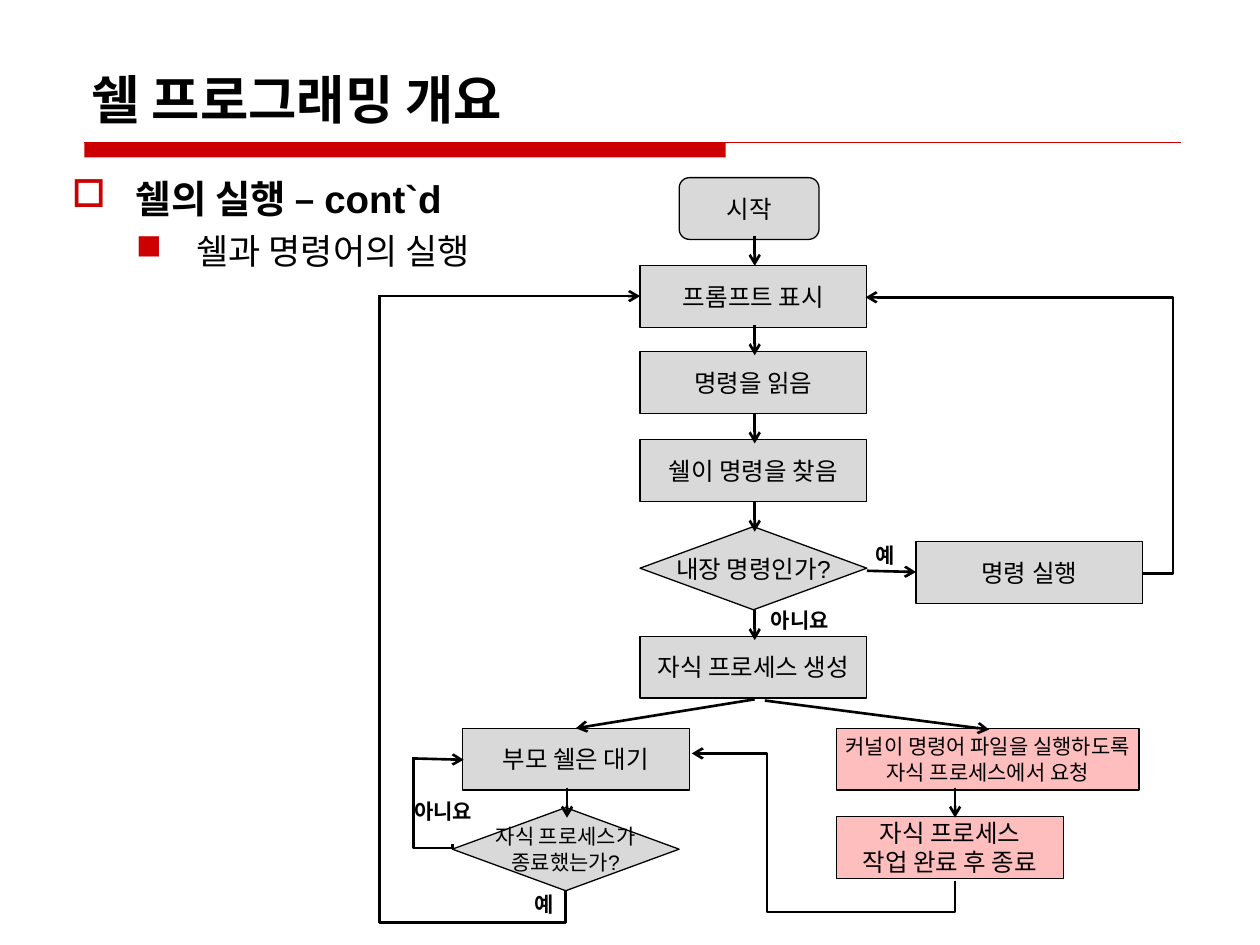
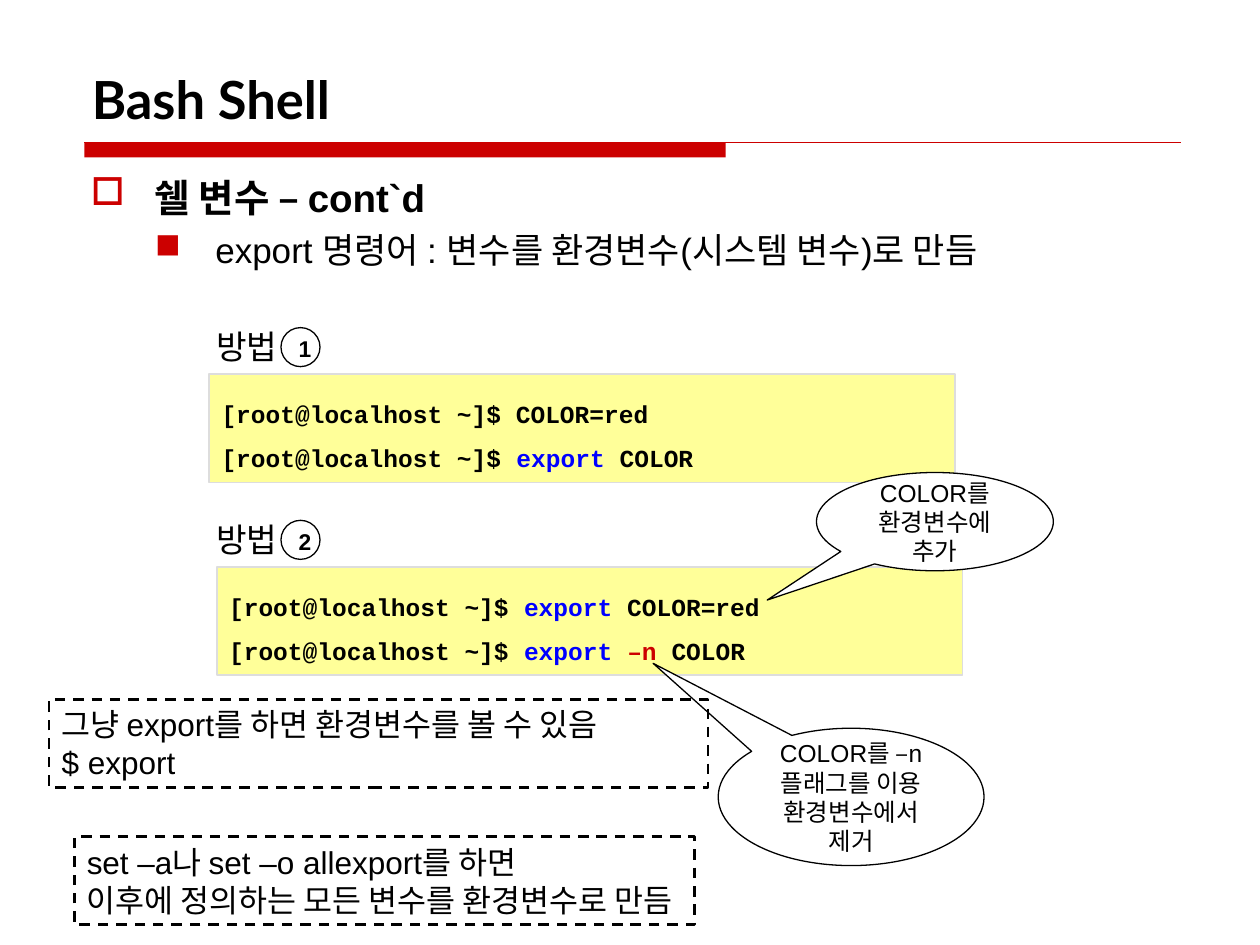
from lxml.etree import SubElement
from pptx import Presentation
from pptx.dml.color import RGBColor
from pptx.enum.dml import MSO_LINE
from pptx.enum.shapes import MSO_CONNECTOR, MSO_SHAPE
from pptx.enum.text import MSO_ANCHOR, PP_ALIGN
from pptx.oxml.ns import qn
from pptx.util import Inches, Pt

COLORS = {
    "red": "CC0000", "black": "000000", "white": "FFFFFF", "grey": "D9D9D9",
    "pink": "FFBEBE", "yellow": "FFFF99", "frame": "DDDDDD", "blue": "0000FF",
}
INSETS = (0.1, 0.05, 0.1, 0.05)
NO_INSETS = (0, 0, 0, 0)

FLOW_TITLE = "쉘 프로그래밍 개요"
FLOW_OUTLINE = ["쉘의 실행 – cont`d", "쉘과 명령어의 실행"]
BOX, DIAMOND = (1.8, 0.49), (1.8, 0.66)
START = MSO_SHAPE.FLOWCHART_ALTERNATE_PROCESS
PROCESS = MSO_SHAPE.FLOWCHART_PROCESS
DECISION = MSO_SHAPE.FLOWCHART_DECISION
MAIN_X, CHILD_X = 5.08, 6.64
STEPS = [
    (START, (5.39, 1.41), (1.11, 0.49), "grey", 14, ["시작"]),
    (PROCESS, (MAIN_X, 2.11), BOX, "grey", 14, ["프롬프트 표시"]),
    (PROCESS, (MAIN_X, 2.79), BOX, "grey", 14, ["명령을 읽음"]),
    (PROCESS, (MAIN_X, 3.49), BOX, "grey", 14, ["쉘이 명령을 찾음"]),
    (DECISION, (MAIN_X, 4.18), DIAMOND, "grey", 14, ["내장 명령인가?"]),
    (PROCESS, (MAIN_X, 5.05), BOX, "grey", 14, ["자식 프로세스 생성"]),
    (PROCESS, (CHILD_X, 5.78), (2.4, 0.49), "pink", 12,
     ["커널이 명령어 파일을 실행하도록", "자식 프로세스에서 요청"]),
    (PROCESS, (CHILD_X, 6.48), BOX, "pink", 14, ["자식 프로세스", "작업 완료 후 종료"]),
    (PROCESS, (3.67, 5.78), BOX, "grey", 14, ["부모 쉘은 대기"]),
    (DECISION, (3.59, 6.41), DIAMOND, "grey", 12, ["자식 프로세스가", "종료했는가?"]),
    (PROCESS, (7.27, 4.3), BOX, "grey", 14, ["명령 실행"]),
]
DROPS = [(5.99, 1.87), (5.99, 2.58), (5.99, 3.28), (5.99, 3.98), (5.99, 4.84),
         (4.5, 6.25), (7.58, 6.25)]
DROP_LENGTH = 0.24
BRANCHES = [
    ((6.88, 4.53), (7.27, 4.54)), ((5.99, 5.55), (4.57, 5.78)),
    ((6.07, 5.56), (7.85, 5.79)), ((3.01, 2.35), (5.08, 2.35)),
    ((3.29, 6.02), (3.68, 6.03)),
]
LOOPS = [
    ((4.49, 7.07), (3.01, 2.34), True, False, [-5300]),
    ((3.59, 6.7), (3.28, 6.01), True, False, [-4500]),
    ((9.06, 4.55), (6.87, 2.36), False, True, [-11400]),
    ((7.58, 6.99), (5.49, 5.98), True, True, [-24700, 71500]),
]
ANSWERS = [("예", 6.85, 4.26), ("예", 4.14, 7.03),
           ("아니요", 6.02, 4.77), ("아니요", 3.19, 6.29)]

EXPORT_TITLE = "Bash Shell"
EXPORT_OUTLINE = ["쉘 변수 – cont`d", "export 명령어 : 변수를 환경변수(시스템 변수)로 만듬"]
PROMPT = "[root@localhost ~]$ "
METHODS = [
    ("1", 1.66, 2.97, [[(PROMPT + "COLOR=red", "black")],
                       [(PROMPT, "black"), ("export ", "blue"), ("COLOR", "black")]]),
    ("2", 1.72, 4.5, [[(PROMPT, "black"), ("export", "blue"), (" COLOR=red", "black")],
                      [(PROMPT, "black"), ("export ", "blue"), ("–n ", "red"),
                       ("COLOR", "black")]]),
]
CALLOUTS = [
    ((6.48, 3.75, 1.88, 0.78), (-0.708, 0.798), ["COLOR를", "환경변수에 추가"]),
    ((5.7, 5.78, 2.11, 1.09), (-0.745, -0.973),
     ["COLOR를 –n 플래그를 이용", "환경변수에서 제거"]),
]
NOTES = [
    ((0.59, 6.64, 4.92, 0.7),
     ["set –a나 set –o allexport를 하면", "이후에 정의하는 모든 변수를 환경변수로 만듬"]),
    ((0.39, 5.55, 5.23, 0.7), ["그냥 export를 하면 환경변수를 볼 수 있음", "$ export"]),
]


def rgb(name):
    return RGBColor.from_string(COLORS[name])


def write(frame, lines, size=14, font="Arial", color="black", bold=False,
          align=PP_ALIGN.LEFT, anchor=MSO_ANCHOR.TOP, insets=INSETS, wrap=True, spacing=None):
    frame.word_wrap = wrap
    frame.vertical_anchor = anchor
    frame.margin_left, frame.margin_top, frame.margin_right, frame.margin_bottom = map(Inches, insets)
    for index, line in enumerate(lines):
        paragraph = frame.paragraphs[0] if index == 0 else frame.add_paragraph()
        paragraph.alignment = align
        if spacing:
            paragraph.line_spacing = spacing
        for words, tint in [(line, color)] if isinstance(line, str) else line:
            run = paragraph.add_run()
            run.text = words
            run.font.size, run.font.name, run.font.bold = Pt(size), font, bold
            run.font.color.rgb = rgb(tint)


def label(slide, place, lines, **fmt):
    box = slide.shapes.add_textbox(*map(Inches, place))
    write(box.text_frame, lines, **fmt)
    return box.text_frame


def block(slide, kind, place, fill=None, line="black", weight=0.75):
    shape = slide.shapes.add_shape(kind, *map(Inches, place))
    shape.shadow.inherit = False
    if fill:
        shape.fill.solid()
        shape.fill.fore_color.rgb = rgb(fill)
    else:
        shape.fill.background()
    if line:
        shape.line.color.rgb = rgb(line)
        shape.line.width = Pt(weight)
    else:
        shape.line.fill.background()
    return shape


def connect(slide, start, end, kind=MSO_CONNECTOR.STRAIGHT, color="black", weight=1.5, arrow=True):
    link = slide.shapes.add_connector(kind, *map(Inches, start + end))
    link.line.color.rgb = rgb(color)
    link.line.width = Pt(weight)
    if arrow:
        SubElement(link.line._get_or_add_ln(), qn("a:tailEnd"), type="arrow")
    SubElement(link._element.spPr, qn("a:effectLst"))
    return link


def loop(slide, start, end, vertical, arrow, bends):
    if vertical:
        (x1, y1), (x2, y2) = start, end
        mid_x, mid_y = (x1 + x2) / 2, (y1 + y2) / 2
        half_w, half_h = abs(y2 - y1) / 2, abs(x2 - x1) / 2
        start = (mid_x - half_w, mid_y + half_h)
        end = (mid_x + half_w, mid_y - half_h)
    properties = connect(slide, start, end, MSO_CONNECTOR.ELBOW, arrow=arrow)._element.spPr
    if vertical:
        properties.find(qn("a:xfrm")).set("rot", str(270 * 60000))
    geometry = properties.find(qn("a:prstGeom"))
    geometry.set("prst", f"bentConnector{len(bends) + 2}")
    guides = geometry.find(qn("a:avLst"))
    for number, bend in enumerate(bends, 1):
        SubElement(guides, qn("a:gd"), name=f"adj{number}", fmla=f"val {bend}")


def outline(slide, left, top, lines):
    frame = label(slide, (left, top, 8.75, 1), [])
    levels = [("□", 0.51, -0.51, 22, True, 0), ("■", 0.99, -0.48, 20, False, 5)]
    for index, (words, level) in enumerate(zip(lines, levels)):
        mark, margin, indent, size, bold, before = level
        paragraph = frame.paragraphs[0] if index == 0 else frame.add_paragraph()
        properties = paragraph._p.get_or_add_pPr()
        properties.set("marL", str(Inches(margin)))
        properties.set("indent", str(Inches(indent)))
        tint = SubElement(properties, qn("a:buClr"))
        SubElement(tint, qn("a:srgbClr"), val=COLORS["red"])
        SubElement(properties, qn("a:buChar"), char=mark)
        if before:
            paragraph.space_before = Pt(before)
        run = paragraph.add_run()
        run.text = words
        run.font.size, run.font.name, run.font.bold = Pt(size), "Arial", bold
        run.font.color.rgb = rgb("black")


def new_slide(deck, title):
    slide = deck.slides.add_slide(deck.slide_layouts[6])
    block(slide, MSO_SHAPE.RECTANGLE, (0.67, 1.13, 5.09, 0.12), "red", None)
    connect(slide, (0.67, 1.13), (9.37, 1.13), color="red", weight=0.75, arrow=False)
    label(slide, (0.63, 0.33, 8.75, 0.75), [title], size=30, font="Lato", bold=True,
          anchor=MSO_ANCHOR.BOTTOM)
    return slide


def flow_slide(deck):
    slide = new_slide(deck, FLOW_TITLE)
    outline(slide, 0.47, 1.34, FLOW_OUTLINE)
    for kind, corner, extent, fill, size, lines in STEPS:
        step = block(slide, kind, corner + extent, fill)
        write(step.text_frame, lines, size=size, align=PP_ALIGN.CENTER,
              anchor=MSO_ANCHOR.MIDDLE, insets=NO_INSETS, wrap=kind != DECISION)
    for x, y in DROPS:
        connect(slide, (x, y), (x, y + DROP_LENGTH))
    for start, end in BRANCHES:
        connect(slide, start, end)
    for route in LOOPS:
        loop(slide, *route)
    for answer, x, y in ANSWERS:
        label(slide, (x, y, 0.94, 0.3), [answer], size=12, bold=True)


def export_slide(deck):
    slide = new_slide(deck, EXPORT_TITLE)
    outline(slide, 0.62, 1.33, EXPORT_OUTLINE)
    for number, left, top, commands in METHODS:
        label(slide, (1.62, top - 0.42, 0.8, 0.4), ["방법"], size=19, anchor=MSO_ANCHOR.MIDDLE)
        badge = block(slide, MSO_SHAPE.OVAL, (2.23, top - 0.37, 0.31, 0.31))
        write(badge.text_frame, [number], size=13, bold=True, align=PP_ALIGN.CENTER,
              anchor=MSO_ANCHOR.MIDDLE, insets=(0.07, 0.02, 0, 0), wrap=False)
        terminal = block(slide, MSO_SHAPE.RECTANGLE, (left, top, 5.92, 0.86), "yellow", "frame", 1)
        write(terminal.text_frame, commands, font="Courier New", bold=True,
              anchor=MSO_ANCHOR.MIDDLE, spacing=1.5)
    for place, tip, lines in CALLOUTS:
        callout = block(slide, MSO_SHAPE.OVAL_CALLOUT, place, "white")
        callout.adjustments[0], callout.adjustments[1] = tip
        write(callout.text_frame, lines, align=PP_ALIGN.CENTER, anchor=MSO_ANCHOR.MIDDLE)
    for place, lines in NOTES:
        note = block(slide, MSO_SHAPE.RECTANGLE, place, weight=1.5)
        note.line.dash_style = MSO_LINE.DASH
        write(note.text_frame, lines, size=18, wrap=False)


def main():
    deck = Presentation()
    deck.slide_width, deck.slide_height = Inches(10), Inches(7.5)
    flow_slide(deck)
    export_slide(deck)
    deck.save("out.pptx")


if __name__ == "__main__":
    main()
